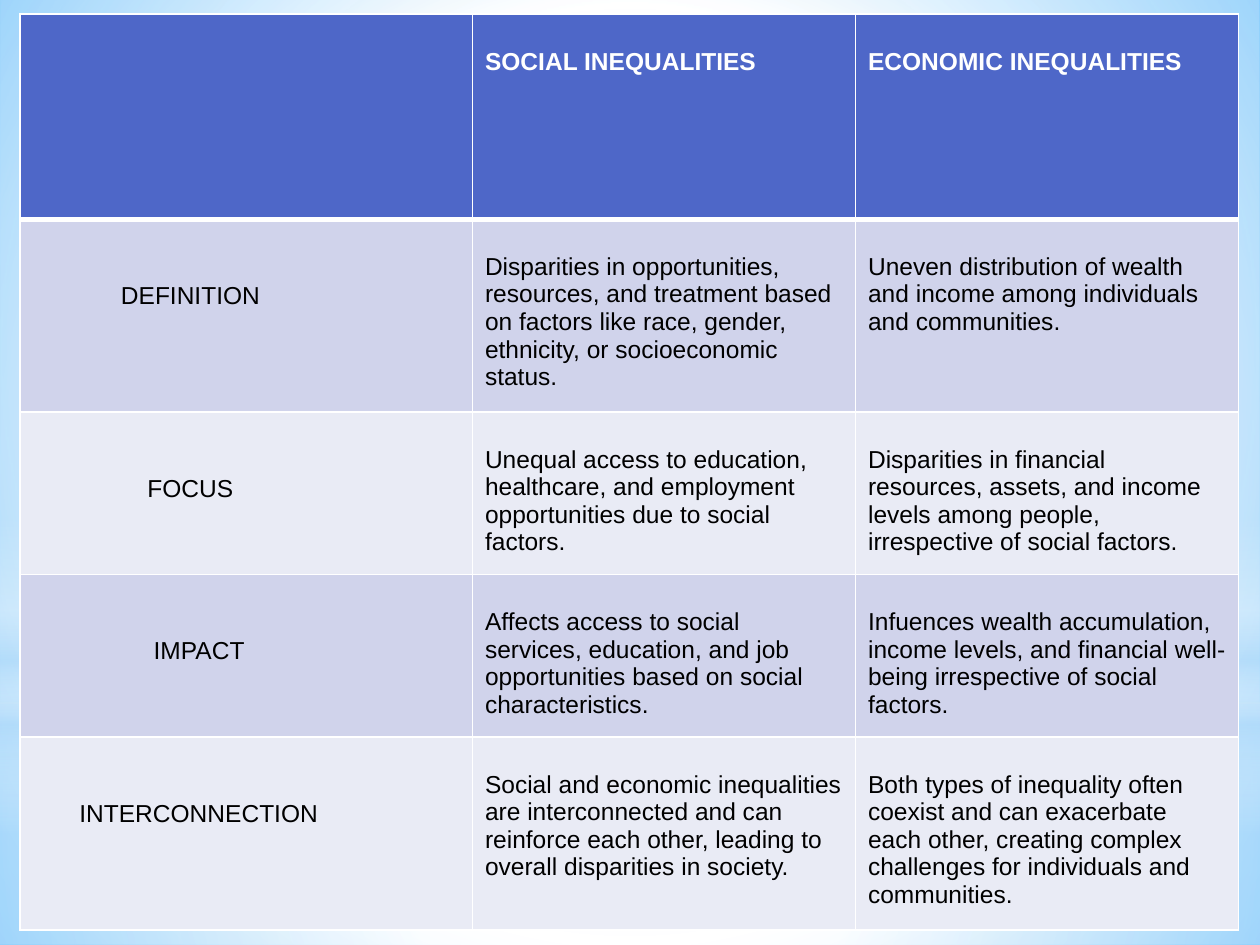
from dataclasses import dataclass

from lxml.etree import SubElement
from pptx import Presentation
from pptx.dml.color import RGBColor
from pptx.enum.shapes import MSO_SHAPE
from pptx.oxml.ns import qn
from pptx.util import Inches, Pt

WHITE, BLACK, HEADER_BLUE = "FFFFFF", "000000", "4E67C8"
BANDS = ("D0D3EB", "E9EBF5")
COLUMN_WIDTHS = (3.59, 3.04, 3.04)
ROW_HEIGHTS = (1.63, 1.53, 1.29, 1.29, 1.53)
TEXT_TOP, LABEL_TOP, TEXT_LEFT = 0.27, 0.5, 0.1


@dataclass
class Stop:
    position: int
    color: str
    opacity: int = 100


@dataclass
class Glow:
    preset: MSO_SHAPE
    top: float
    height: float
    stops: list[Stop]
    linear: bool = False


@dataclass
class Comparison:
    label: str
    label_left: float
    social: str
    economic: str


BACKDROP = [Stop(0, "99D4FE"), Stop(60, WHITE), Stop(100, "54BDFF")]

GLOWS = [
    Glow(MSO_SHAPE.RECTANGLE, 5.58, 1.92,
         [Stop(0, WHITE, 91), Stop(37, WHITE, 75), Stop(100, "B4DCFA", 78)]),
    Glow(MSO_SHAPE.RECTANGLE, 0, 5.58,
         [Stop(0, WHITE, 88), Stop(48, WHITE, 62), Stop(100, "B4DCFA", 78)]),
    Glow(MSO_SHAPE.RECTANGLE, 4.12, 2.5,
         [Stop(0, WHITE, 0), Stop(29, WHITE, 29), Stop(45, "B4DCFA", 40),
          Stop(55, WHITE, 25), Stop(65, "B4DCFA", 60), Stop(100, WHITE, 0)],
         linear=True),
    Glow(MSO_SHAPE.OVAL, 1.75, 5.58,
         [Stop(0, WHITE), Stop(56, WHITE, 0), Stop(100, WHITE, 0)]),
]

COMPARISONS = [
    Comparison(
        "DEFINITION", 0.8,
        "Disparities in opportunities, resources, and treatment based on "
        "factors like race, gender, ethnicity, or socioeconomic status.",
        "Uneven distribution of wealth and income among individuals and "
        "communities."),
    Comparison(
        "FOCUS", 1.01,
        "Unequal access to education, healthcare, and employment "
        "opportunities due to social factors.",
        "Disparities in financial resources, assets, and income levels among "
        "people, irrespective of social factors."),
    Comparison(
        "IMPACT", 1.06,
        "Affects access to social services, education, and job opportunities "
        "based on social characteristics.",
        "Infuences wealth accumulation, income levels, and financial well- "
        "being irrespective of social factors."),
    Comparison(
        "INTERCONNECTION", 0.47,
        "Social and economic inequalities are interconnected and can "
        "reinforce each other, leading to overall disparities in society.",
        "Both types of inequality often coexist and can exacerbate each "
        "other, creating complex challenges for individuals and communities."),
]


def rgb(color: str) -> RGBColor:
    return RGBColor.from_string(color)


def apply_gradient(parent, stops: list[Stop], linear: bool = False) -> None:
    """Turn the solid fill of an element into a gradient."""
    solid = parent.find(qn("a:solidFill"))
    gradient = solid.makeelement(qn("a:gradFill"), {"rotWithShape": "1"})
    stop_list = SubElement(gradient, qn("a:gsLst"))
    for stop in stops:
        mark = SubElement(stop_list, qn("a:gs"), pos=str(stop.position * 1000))
        color = SubElement(mark, qn("a:srgbClr"), val=stop.color)
        if stop.opacity < 100:
            SubElement(color, qn("a:alpha"), val=str(stop.opacity * 1000))
    if linear:
        SubElement(gradient, qn("a:lin"), ang="5400000", scaled="0")
    else:
        circle = SubElement(gradient, qn("a:path"), {"path": "circle"})
        SubElement(circle, qn("a:fillToRect"), dict.fromkeys("ltrb", "50000"))
    parent.replace(solid, gradient)


def draw_glow(slide, glow: Glow) -> None:
    shape = slide.shapes.add_shape(
        glow.preset, 0, Inches(glow.top), Inches(10), Inches(glow.height))
    shape.shadow.inherit = False
    shape.line.fill.background()
    shape.fill.solid()
    apply_gradient(shape.element.spPr, glow.stops, glow.linear)


def style_cell(cell, fill: str, top_line: int, bottom_line: int) -> None:
    cell.fill.solid()
    cell.fill.fore_color.rgb = rgb(fill)
    properties = cell._tc.get_or_add_tcPr()
    widths = {"lnL": 1, "lnR": 1, "lnT": top_line, "lnB": bottom_line}
    for index, (side, width) in enumerate(widths.items()):
        border = properties.makeelement(qn(f"a:{side}"), {"w": str(Pt(width))})
        paint = SubElement(border, qn("a:solidFill"))
        SubElement(paint, qn("a:srgbClr"), val=WHITE)
        properties.insert(index, border)


def write_cell(cell, text: str, color: str, bold: bool = False,
               left: float = TEXT_LEFT, top: float = TEXT_TOP) -> None:
    cell.margin_left, cell.margin_top = Inches(left), Inches(top)
    run = cell.text_frame.paragraphs[0].add_run()
    run.text = text
    run.font.name, run.font.size, run.font.bold = "Arial", Pt(14), bold
    run.font.color.rgb = rgb(color)


def draw_comparison_table(slide) -> None:
    table = slide.shapes.add_table(
        len(ROW_HEIGHTS), len(COLUMN_WIDTHS), Inches(0.16), Inches(0.11),
        Inches(sum(COLUMN_WIDTHS)), Inches(sum(ROW_HEIGHTS))).table
    for column, width in zip(table.columns, COLUMN_WIDTHS):
        column.width = Inches(width)

    # Fills and borders, with a thick rule under the header
    for index, (row, height) in enumerate(zip(table.rows, ROW_HEIGHTS)):
        row.height = Inches(height)
        fill = BANDS[(index - 1) % 2] if index else HEADER_BLUE
        for cell in row.cells:
            style_cell(cell, fill, 3 if index == 1 else 1, 1 if index else 3)

    # Header
    for column, heading in enumerate(("SOCIAL", "ECONOMIC"), start=1):
        write_cell(table.cell(0, column), f"{heading} INEQUALITIES", WHITE, bold=True)

    # Body
    for row, item in enumerate(COMPARISONS, start=1):
        write_cell(table.cell(row, 0), item.label, BLACK,
                   left=item.label_left, top=LABEL_TOP)
        write_cell(table.cell(row, 1), item.social, BLACK)
        write_cell(table.cell(row, 2), item.economic, BLACK)


def main() -> None:
    presentation = Presentation()
    presentation.slide_width, presentation.slide_height = Inches(10), Inches(7.5)
    slide = presentation.slides.add_slide(presentation.slide_layouts[6])

    # Sky backdrop
    slide.background.fill.solid()
    apply_gradient(slide.element.find(".//" + qn("p:bgPr")), BACKDROP)
    for glow in GLOWS:
        draw_glow(slide, glow)

    draw_comparison_table(slide)
    presentation.save("out.pptx")


if __name__ == "__main__":
    main()
